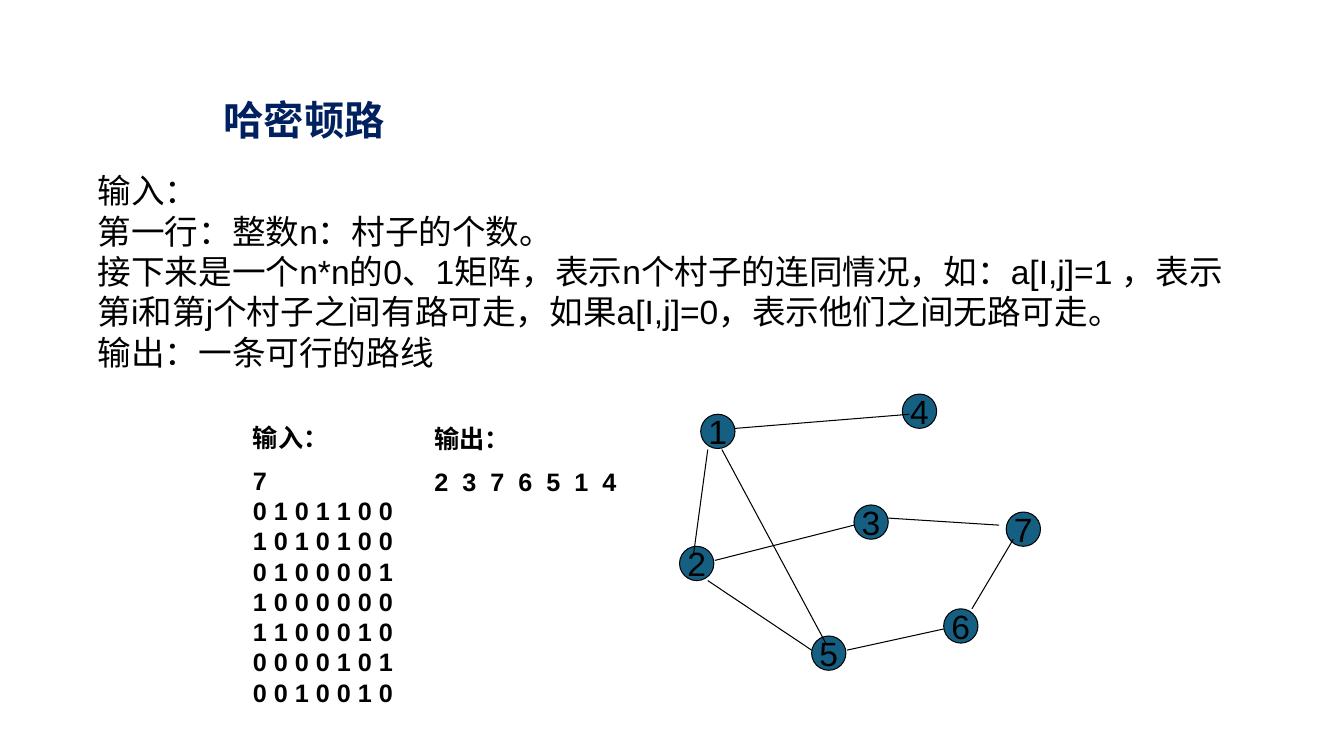
from lxml import etree
from pptx import Presentation
from pptx import util as u
from pptx.dml.color import RGBColor
from pptx.enum import shapes, text
from pptx.oxml import ns

COLORS = {"title": "002060", "ink": "000000", "node": "156082"}
NODE_SIZE = 0.34
LINE_WIDTH = u.Pt(0.75)

# Village label: offset of its circle from the corner of the graph
VILLAGES = {
    "1": (0.21, 0.2), "2": (0, 1.51), "3": (1.73, 1.1), "5": (1.31, 2.4),
    "4": (2.21, 0), "6": (2.62, 2.13), "7": (3.24, 1.17),
}
# Start and end of each road, from the corner of the graph
ROADS = [
    ((0.28, 1.85), (1.31, 2.54)),  # 2-5
    ((2.07, 1.23), (3.17, 1.3)),   # 3-7
    ((3.31, 1.44), (2.9, 2.13)),   # 7-6
    ((1.66, 2.54), (2.62, 2.33)),  # 5-6
    ((0.28, 0.55), (0.14, 1.58)),  # 1-2
    ((0.55, 0.34), (2.28, 0.2)),   # 1-4
    ((0.42, 0.55), (1.45, 2.47)),  # 1-5
    ((1.73, 1.3), (0.35, 1.65)),   # 3-2
]

DESCRIPTION = [
    "输入：",
    "第一行：整数n：村子的个数。",
    "接下来是一个n*n的0、1矩阵，表示n个村子的连同情况，如：a[I,j]=1 ，"
    "表示第i和第j个村子之间有路可走，如果a[I,j]=0，表示他们之间无路可走。",
    "输出：一条可行的路线",
]
SAMPLE_INPUT = [
    "7",
    "0 1 0 1 1 0 0",
    "1 0 1 0 1 0 0",
    "0 1 0 0 0 0 1",
    "1 0 0 0 0 0 0",
    "1 1 0 0 0 1 0",
    "0 0 0 0 1 0 1",
    "0 0 1 0 0 1 0",
]
SAMPLE_OUTPUT = "2  3  7  6  5  1  4"


def rgb(name):
    return RGBColor.from_string(COLORS[name])


def write(frame, paragraphs, size=24, font="Arial", color="ink", bold=False,
          align=None, before=None, spacing=None):
    """Fill a text frame; a newline inside a paragraph becomes a line break."""
    for index, content in enumerate(paragraphs):
        paragraph = frame.add_paragraph() if index else frame.paragraphs[0]
        paragraph.text = content
        paragraph.alignment = align
        paragraph.space_before = before
        paragraph.line_spacing = spacing
        for run in paragraph.runs:
            run.font.size = u.Pt(size)
            run.font.name = font
            run.font.bold = bold
            run.font.color.rgb = rgb(color)


def add_text(slide, box, paragraphs, anchor=text.MSO_ANCHOR.TOP,
             fit=text.MSO_AUTO_SIZE.SHAPE_TO_FIT_TEXT, **style):
    frame = slide.shapes.add_textbox(*map(u.Inches, box)).text_frame
    frame.word_wrap = True
    frame.auto_size = fit
    frame.vertical_anchor = anchor
    write(frame, paragraphs, **style)


def add_title(slide, box):
    add_text(slide, box, ["哈密顿路"], anchor=text.MSO_ANCHOR.MIDDLE,
             fit=text.MSO_AUTO_SIZE.NONE, size=28.8, font="Times New Roman",
             color="title", bold=True, spacing=0.9)


def add_sample(slide, box, heading, values):
    add_text(slide, box, [heading, values], size=18, bold=True, before=u.Pt(9))


def add_village(group, left, top, label):
    shape = group.shapes.add_shape(
        shapes.MSO_SHAPE.OVAL, u.Inches(left), u.Inches(top),
        u.Inches(NODE_SIZE), u.Inches(NODE_SIZE))
    shape.shadow.inherit = False
    shape.fill.solid()
    shape.fill.fore_color.rgb = rgb("node")
    shape.line.color.rgb = rgb("ink")
    shape.line.width = LINE_WIDTH
    frame = shape.text_frame
    frame.word_wrap = False
    frame.vertical_anchor = text.MSO_ANCHOR.MIDDLE
    write(frame, [label], align=text.PP_ALIGN.CENTER)


def add_road(group, start, end):
    road = group.shapes.add_connector(
        shapes.MSO_CONNECTOR.STRAIGHT, *map(u.Inches, start + end))
    road.line.color.rgb = rgb("ink")
    road.line.width = LINE_WIDTH
    etree.SubElement(road._element.spPr, ns.qn("a:effectLst"))


def add_graph(slide, left, top):
    group = slide.shapes.add_group_shape()
    for label, (x, y) in VILLAGES.items():
        add_village(group, left + x, top + y, label)
    for (x1, y1), (x2, y2) in ROADS:
        add_road(group, (left + x1, top + y1), (left + x2, top + y2))


def main():
    presentation = Presentation()
    presentation.slide_width = u.Inches(13.33)
    presentation.slide_height = u.Inches(7.5)
    slide = presentation.slides.add_slide(presentation.slide_layouts[6])
    add_title(slide, (2.12, 0.93, 10.44, 0.56))
    add_text(slide, (0.87, 1.64, 11.37, 2.12), DESCRIPTION)
    add_sample(slide, (2.41, 4.14, 1.67, 2.95), "输入：", "\n".join(SAMPLE_INPUT))
    add_sample(slide, (4.21, 4.15, 2.42, 0.85), "输出：", SAMPLE_OUTPUT)
    add_graph(slide, 6.74, 3.91)
    presentation.save("out.pptx")


if __name__ == "__main__":
    main()
